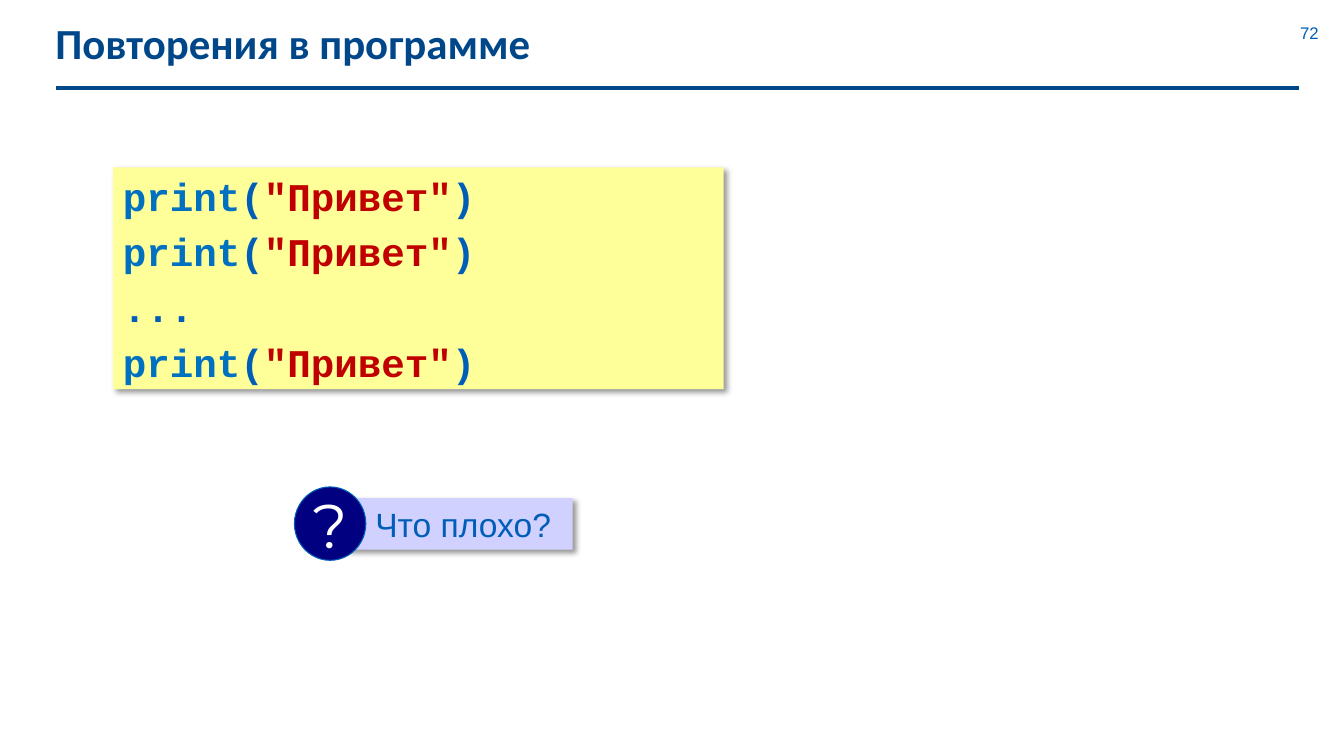
from dataclasses import dataclass

from lxml.etree import SubElement
from pptx import Presentation
from pptx.dml.color import RGBColor
from pptx.enum.shapes import MSO_CONNECTOR as Connector, MSO_SHAPE as Preset
from pptx.enum.text import MSO_ANCHOR as Anchor, MSO_AUTO_SIZE as AutoSize, PP_ALIGN as Align
from pptx.oxml.ns import qn
from pptx.util import Cm, Pt


@dataclass(frozen=True)
class Theme:
    heading: str = "00478A"
    text: str = "005EB8"
    keyword: str = "0070C0"
    string: str = "C00000"
    code_fill: str = "FFFF99"
    question_fill: str = "D1D1FF"
    badge_fill: str = "000080"
    white: str = "FFFFFF"
    heading_font: str = "Calibri"
    body_font: str = "Arial"
    code_font: str = "Courier New"
    badge_font: str = "Montserrat"
    heading_size: float = 30.6
    number_size: int = 12
    code_size: int = 28
    question_size: int = 24
    badge_size: int = 44


class SlideBuilder:
    def __init__(self, presentation, theme):
        self.theme = theme
        self.slide = presentation.slides.add_slide(presentation.slide_layouts[5])

    def style(self, run, font, size, color, bold=False):
        run.font.name = font
        run.font.size = Pt(size)
        run.font.bold = bold
        run.font.color.rgb = RGBColor.from_string(color)

    def place(self, shape, box):
        shape.left, shape.top, shape.width, shape.height = (Cm(value) for value in box)

    def box(self, shapes, preset, box, fill, outline=None):
        shape = shapes.add_shape(preset, *(Cm(value) for value in box))
        shape.shadow.inherit = False
        shape.fill.solid()
        shape.fill.fore_color.rgb = RGBColor.from_string(fill)
        if outline:
            shape.line.color.rgb = RGBColor.from_string(outline)
            shape.line.width = Pt(0.75)
        else:
            shape.line.fill.background()
        return shape

    def add_shadow(self, shape):
        effects = shape._element.spPr.find(qn("a:effectLst"))
        shadow = SubElement(effects, qn("a:outerShdw"), blurRad=str(Pt(4)),
                            dist=str(Pt(3)), dir="2700000", algn="tl", rotWithShape="0")
        color = SubElement(shadow, qn("a:srgbClr"), val="000000")
        SubElement(color, qn("a:alpha"), val="40000")

    def title(self, text, box):
        title = self.slide.shapes.title
        self.place(title, box)
        frame = title.text_frame
        frame.text = text
        frame.auto_size = AutoSize.NONE
        frame.vertical_anchor = Anchor.TOP
        frame.margin_top = 0
        paragraph = frame.paragraphs[0]
        paragraph.alignment = Align.LEFT
        self.style(paragraph.runs[0], self.theme.heading_font, self.theme.heading_size,
                   self.theme.heading, bold=True)

    def rule(self, left, right, top):
        line = self.slide.shapes.add_connector(Connector.STRAIGHT, Cm(left), Cm(top),
                                               Cm(right), Cm(top))
        line.line.color.rgb = RGBColor.from_string(self.theme.heading)
        line.line.width = Pt(3)
        SubElement(line._element.spPr, qn("a:effectLst"))

    def number(self, text, box):
        frame = self.slide.shapes.add_textbox(*(Cm(value) for value in box)).text_frame
        frame.word_wrap = True
        frame.margin_left = frame.margin_right = frame.margin_top = frame.margin_bottom = 0
        frame.vertical_anchor = Anchor.MIDDLE
        frame.text = text
        paragraph = frame.paragraphs[0]
        paragraph.alignment = Align.CENTER
        self.style(paragraph.runs[0], self.theme.body_font, self.theme.number_size,
                   self.theme.text)

    def code(self, lines, box):
        shape = self.box(self.slide.shapes, Preset.RECTANGLE, box, self.theme.code_fill)
        self.add_shadow(shape)
        frame = shape.text_frame
        frame.vertical_anchor = Anchor.TOP
        for index, line in enumerate(lines):
            paragraph = frame.add_paragraph() if index else frame.paragraphs[0]
            paragraph.alignment = Align.LEFT
            paragraph.space_before = Pt(5.8)
            for text, color in line:
                run = paragraph.add_run()
                run.text = text
                self.style(run, self.theme.code_font, self.theme.code_size, color, bold=True)

    def question(self, text, label_box, badge_box):
        group = self.slide.shapes.add_group_shape()
        label = self.box(group.shapes, Preset.RECTANGLE, label_box, self.theme.question_fill)
        self.add_shadow(label)
        frame = label.text_frame
        frame.text = text
        frame.margin_left = Cm(0.75)
        frame.margin_right = 0
        frame.paragraphs[0].alignment = Align.LEFT
        self.style(frame.paragraphs[0].runs[0], self.theme.body_font,
                   self.theme.question_size, self.theme.text)

        badge = self.box(group.shapes, Preset.OVAL, badge_box, self.theme.badge_fill,
                         self.theme.text)
        frame = badge.text_frame
        frame.text = "?"
        frame.word_wrap = False
        frame.vertical_anchor = Anchor.MIDDLE
        frame.paragraphs[0].alignment = Align.CENTER
        self.style(frame.paragraphs[0].runs[0], self.theme.badge_font,
                   self.theme.badge_size, self.theme.white)


def main():
    presentation = Presentation()
    presentation.slide_width = Cm(33.87)
    presentation.slide_height = Cm(19.05)
    theme = Theme()
    builder = SlideBuilder(presentation, theme)

    builder.rule(1.4, 32.74, 2.21)
    builder.title("Повторения в программе", (1.14, 0.43, 31.01, 1.32))
    builder.number("72", (32.2, 0.56, 1.6, 0.51))

    print_call = [("print", theme.keyword), ("(", theme.text),
                  ('"Привет"', theme.string), (")", theme.text)]
    ellipsis = [("...", theme.text)]
    builder.code([print_call, print_call, ellipsis, print_call], (2.85, 4.22, 15.39, 5.59))
    builder.question("Что плохо?", (8.71, 12.55, 5.72, 1.3), (7.42, 12.27, 1.8, 1.85))

    presentation.save("out.pptx")


if __name__ == "__main__":
    main()
